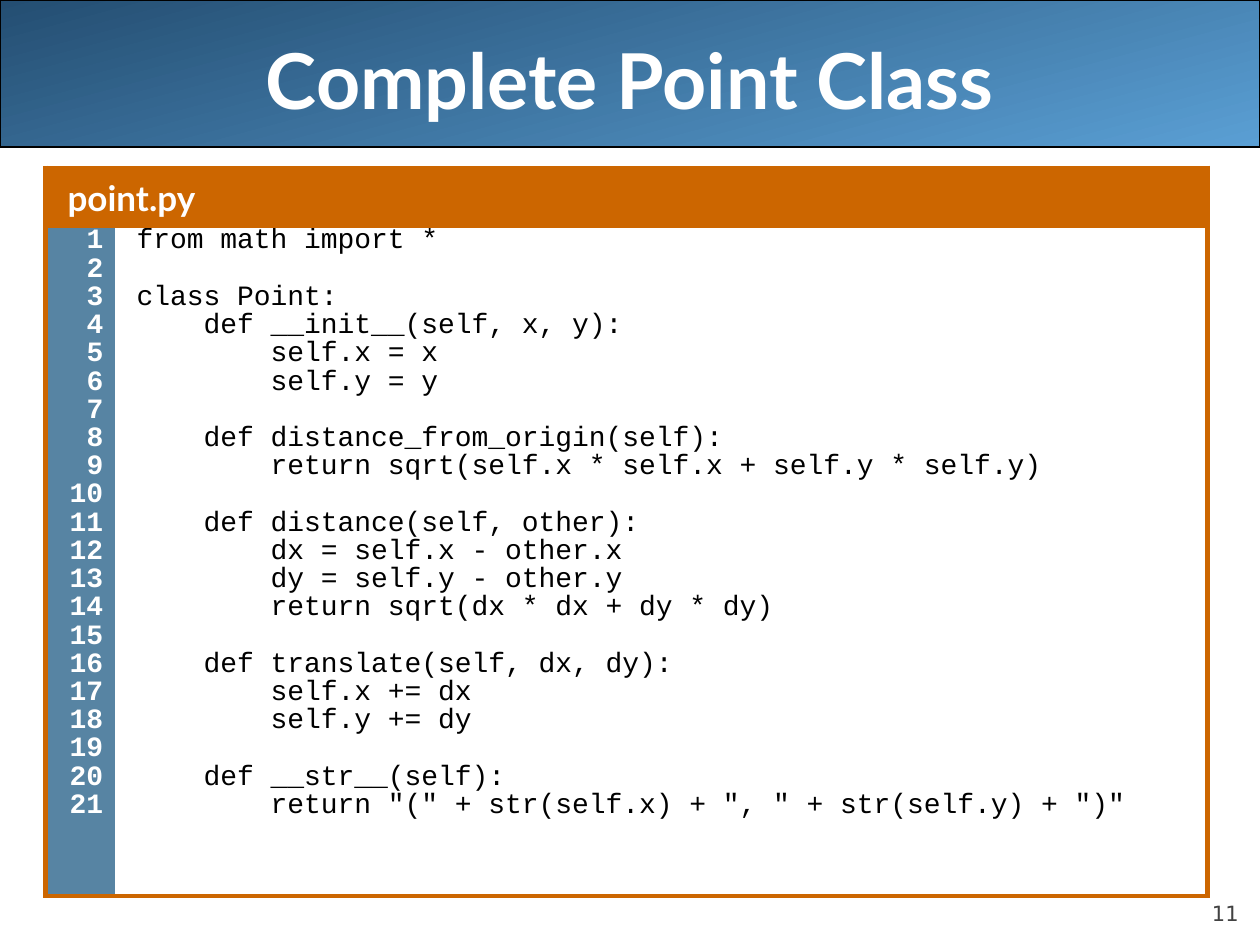
from pptx import Presentation
from pptx.dml.color import RGBColor
from pptx.enum.shapes import MSO_SHAPE
from pptx.enum.text import MSO_ANCHOR, PP_ALIGN
from pptx.oxml import parse_xml
from pptx.oxml.ns import nsdecls
from pptx.text.text import Font
from pptx.util import Pt

WHITE = RGBColor(0xFF, 0xFF, 0xFF)
BLACK = RGBColor(0x00, 0x00, 0x00)
GREY = RGBColor(0x42, 0x42, 0x42)
ORANGE = RGBColor(0xCC, 0x66, 0x00)
GUTTER_BLUE = RGBColor(0x57, 0x84, 0xA3)
BANNER_DARK = RGBColor(0x24, 0x4E, 0x72)
BANNER_LIGHT = RGBColor(0x5A, 0x9F, 0xD4)

CODE = '''from math import *

class Point:
    def __init__(self, x, y):
        self.x = x
        self.y = y

    def distance_from_origin(self):
        return sqrt(self.x * self.x + self.y * self.y)

    def distance(self, other):
        dx = self.x - other.x
        dy = self.y - other.y
        return sqrt(dx * dx + dy * dy)

    def translate(self, dx, dy):
        self.x += dx
        self.y += dy

    def __str__(self):
        return "(" + str(self.x) + ", " + str(self.y) + ")"'''


class CodeSlide:
    """Holds the text styles and the slide being built."""

    TITLE = {"name": "Lato", "size": Pt(44), "bold": True}
    FILE_NAME = {"name": "Lato", "size": Pt(20), "bold": True}
    LINE_NUMBER = {"name": "Courier New", "size": Pt(16), "bold": True}
    CODE_LINE = {"name": "Courier New", "size": Pt(16), "bold": False}
    PAGE = {"name": "DejaVu Sans", "size": Pt(12), "bold": False}

    HEADER_SPACING = {"line_spacing": 1.07, "space_before": Pt(5)}
    CODE_SPACING = {"line_spacing": 0.67, "space_before": Pt(4)}
    NUMBER_SPACING = {**CODE_SPACING, "alignment": PP_ALIGN.RIGHT}

    def __init__(self, slide):
        self.slide = slide

    @staticmethod
    def apply(target, values):
        for attribute, value in values.items():
            setattr(target, attribute, value)

    def text(self, frame, lines, style, color, layout, indent=0):
        for index, line in enumerate(lines):
            paragraph = frame.add_paragraph() if index else frame.paragraphs[0]
            self.apply(paragraph, layout)
            if indent:
                properties = paragraph._p.get_or_add_pPr()
                properties.set("marL", str(indent))
                properties.set("indent", "0")
            if line:
                run = paragraph.add_run()
                run.text = line
                font = run.font
            else:
                # A blank code line keeps the height of the others
                font = Font(paragraph._p.get_or_add_endParaRPr())
            self.apply(font, style)
            font.color.rgb = color

    def title(self, wording, left, top, width, height):
        heading = self.slide.shapes.title
        self.apply(heading, {"left": left, "top": top, "width": width, "height": height})
        heading.text_frame.vertical_anchor = MSO_ANCHOR.MIDDLE
        self.text(heading.text_frame, [wording], self.TITLE, WHITE,
                  {"alignment": PP_ALIGN.CENTER})

    def banner(self, width, height):
        banner = self.slide.shapes.add_shape(MSO_SHAPE.ROUNDED_RECTANGLE, 0, 0, width, height)
        banner.adjustments[0] = 0
        banner.shadow.inherit = False
        banner.fill.gradient()
        banner.fill.gradient_angle = 285
        for stop, color in zip(banner.fill.gradient_stops, (BANNER_DARK, BANNER_LIGHT)):
            stop.color.rgb = color
        banner.line.color.rgb = BLACK
        banner.line.width = Pt(0.75)
        # The banner lies behind the title
        self.slide.shapes.title._element.addprevious(banner._element)

    def page_number(self, number, left, top, width, height):
        frame = self.slide.shapes.add_textbox(left, top, width, height).text_frame
        self.apply(frame, {"word_wrap": True, "vertical_anchor": MSO_ANCHOR.BOTTOM,
                           "margin_left": 0, "margin_top": 0,
                           "margin_right": 0, "margin_bottom": 0})
        self.text(frame, [number], self.PAGE, GREY,
                  {"alignment": PP_ALIGN.RIGHT, "space_before": Pt(5)})

    def cell(self, cell, fill, sides, right_margin=Pt(3.6)):
        """Draw orange borders on the given sides and none on the others."""
        properties = cell._tc.get_or_add_tcPr()
        for side in "LRTB":
            paint = (f'<a:solidFill><a:srgbClr val="{ORANGE}"/></a:solidFill>'
                     if side in sides else "<a:noFill/>")
            properties.append(parse_xml(
                f'<a:ln{side} {nsdecls("a")} w="{Pt(3)}">{paint}</a:ln{side}>'))
        cell.fill.solid()
        cell.fill.fore_color.rgb = fill
        self.apply(cell, {"margin_left": Pt(3.6), "margin_top": Pt(3.6),
                          "margin_right": right_margin, "margin_bottom": Pt(3.6)})

    def listing(self, file_name, code, left, top, widths, heights):
        table = self.slide.shapes.add_table(
            2, 2, left, top, sum(widths), sum(heights)).table
        for column, width in zip(table.columns, widths):
            column.width = width
        for row, height in zip(table.rows, heights):
            row.height = height

        # File name across both columns
        header, header_rest = table.cell(0, 0), table.cell(0, 1)
        header.merge(header_rest)
        for part in (header, header_rest):
            self.cell(part, ORANGE, "LRTB")

        # Line numbers beside the code
        gutter, body = table.cell(1, 0), table.cell(1, 1)
        self.cell(gutter, GUTTER_BLUE, "LTB", Pt(6.5))
        self.cell(body, WHITE, "RTB", Pt(13))

        lines = code.split("\n")
        numbers = [str(number) for number in range(1, len(lines) + 1)]
        for cell, content, style, color, layout in (
                (header, [file_name], self.FILE_NAME, WHITE, self.HEADER_SPACING),
                (gutter, numbers, self.LINE_NUMBER, WHITE, self.NUMBER_SPACING),
                (body, lines, self.CODE_LINE, BLACK, self.CODE_SPACING)):
            self.text(cell.text_frame, content, style, color, layout, Pt(9))


def main():
    presentation = Presentation()
    presentation.slide_width, presentation.slide_height = Pt(720), Pt(540)
    title_only = presentation.slide_layouts[5]
    page = CodeSlide(presentation.slides.add_slide(title_only))

    # Heading
    page.banner(Pt(720), Pt(84))
    page.title("Complete Point Class", Pt(36), Pt(0), Pt(648), Pt(90))

    # Source code and page number
    page.page_number("11", Pt(648), Pt(500.4), Pt(59.8), Pt(28.8))
    page.listing("point.py", CODE, Pt(26), Pt(96),
                 (Pt(39.5), Pt(624.5)), (Pt(32.5), Pt(383)))

    presentation.save("out.pptx")


if __name__ == "__main__":
    main()
